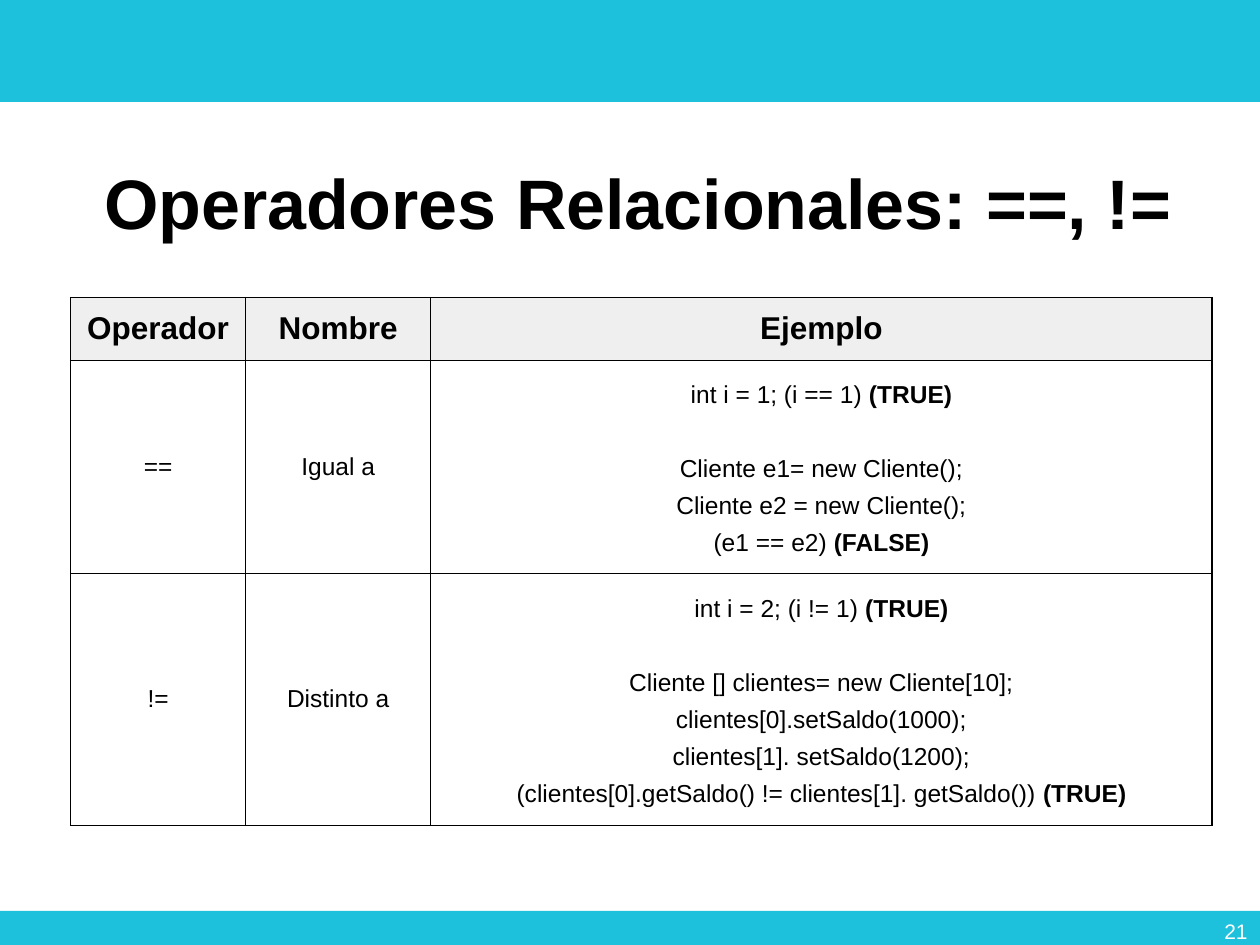
from lxml import etree
from pptx import Presentation
from pptx.dml.color import RGBColor
from pptx.enum import shapes, text
from pptx.oxml import ns
from pptx.util import Inches, Pt

FONT = "Arial"
BLACK, WHITE, CYAN, GRAY = "000000", "FFFFFF", "1DC1DC", "EFEFEF"
COLUMN_WIDTHS = [1.39, 1.47, 6.2]
ROW_HEIGHTS = [0.48, 1.62, 1.92]
HEADERS = ["Operador", "Nombre", "Ejemplo"]
OPERATORS = [
    ("==", "Igual a", [
        ("int i = 1; (i == 1) ", "(TRUE)"),
        ("Cliente e1= new Cliente();", ""),
        ("Cliente e2 = new Cliente();", ""),
        ("(e1 == e2) ", "(FALSE)"),
    ]),
    ("!=", "Distinto a", [
        ("int i = 2; (i != 1) ", "(TRUE)"),
        ("Cliente [] clientes= new Cliente[10];", ""),
        ("clientes[0].setSaldo(1000);", ""),
        ("clientes[1]. setSaldo(1200);", ""),
        ("(clientes[0].getSaldo() != clientes[1]. getSaldo()) ", "(TRUE)"),
    ]),
]


def color(value):
    return RGBColor.from_string(value)


def style_paragraph(paragraph, size, value=BLACK, bold=False, align=text.PP_ALIGN.CENTER):
    paragraph.alignment = align
    font = paragraph.font
    font.name, font.size, font.bold = FONT, Pt(size), bold
    font.color.rgb = color(value)


def add_band(slide, top, height):
    band = slide.shapes.add_shape(
        shapes.MSO_SHAPE.RECTANGLE, 0, Inches(top), Inches(10), Inches(height))
    band.shadow.inherit = False
    band.fill.solid()
    band.fill.fore_color.rgb = color(CYAN)
    band.line.fill.background()


def add_text(slide, left, top, width, height, content, size, **style):
    box = slide.shapes.add_textbox(Inches(left), Inches(top), Inches(width), Inches(height))
    frame = box.text_frame
    frame.word_wrap = True
    frame.vertical_anchor = text.MSO_ANCHOR.MIDDLE
    paragraph = frame.paragraphs[0]
    paragraph.text = content
    style_paragraph(paragraph, size, **style)
    return paragraph


def add_borders(cell):
    properties = cell._tc.get_or_add_tcPr()
    for side in ("a:lnL", "a:lnR", "a:lnT", "a:lnB"):
        line = etree.SubElement(properties, ns.qn(side), w=str(Pt(0.75)))
        fill = etree.SubElement(line, ns.qn("a:solidFill"))
        etree.SubElement(fill, ns.qn("a:srgbClr"), val=BLACK)


def format_cell(cell, fill=None):
    cell.margin_left = cell.margin_right = Inches(0.1)
    cell.margin_top = cell.margin_bottom = Inches(0.1)
    cell.vertical_anchor = text.MSO_ANCHOR.MIDDLE
    add_borders(cell)
    if fill:
        cell.fill.solid()
        cell.fill.fore_color.rgb = color(fill)
    else:
        cell.fill.background()


def write_cell(cell, content, size, bold=False, fill=None):
    format_cell(cell, fill)
    cell.text = content
    style_paragraph(cell.text_frame.paragraphs[0], size, bold=bold)


def write_example(cell, lines):
    format_cell(cell)
    frame = cell.text_frame
    for index, (code, result) in enumerate(lines):
        paragraph = frame.add_paragraph() if index else frame.paragraphs[0]
        style_paragraph(paragraph, 14)
        paragraph.line_spacing = 1.15
        if index:
            paragraph.space_before = Pt(24 if index == 1 else 3)
        parts = [(code, False), (result, True)] if result else [(code, False)]
        for content, bold in parts:
            run = paragraph.add_run()
            run.text = content
            run.font.name, run.font.size, run.font.bold = FONT, Pt(14), bold
            run.font.color.rgb = color(BLACK)


def add_operator_table(slide):
    table = slide.shapes.add_table(
        len(ROW_HEIGHTS), len(COLUMN_WIDTHS), Inches(0.56), Inches(2.36),
        Inches(sum(COLUMN_WIDTHS)), Inches(sum(ROW_HEIGHTS))).table
    table.horz_banding = False
    for column, width in zip(table.columns, COLUMN_WIDTHS):
        column.width = Inches(width)
    for row, height in zip(table.rows, ROW_HEIGHTS):
        row.height = Inches(height)
    for index, header in enumerate(HEADERS):
        write_cell(table.cell(0, index), header, 18, bold=True, fill=GRAY)
    for row, (operator, name, example) in enumerate(OPERATORS, 1):
        write_cell(table.cell(row, 0), operator, 14)
        write_cell(table.cell(row, 1), name, 14)
        write_example(table.cell(row, 2), example)


def main():
    presentation = Presentation()
    presentation.slide_width, presentation.slide_height = Inches(10), Inches(7.5)
    slide = presentation.slides.add_slide(presentation.slide_layouts[6])
    add_band(slide, 0, 0.81)
    add_band(slide, 7.23, 0.31)
    title = add_text(slide, 0.67, 0.98, 8.78, 1.33,
                     "Operadores Relacionales: ==, !=", 40, bold=True)
    title.line_spacing = 0.9
    add_text(slide, 7.75, 7.19, 2.25, 0.4, "21", 12,
             value=WHITE, align=text.PP_ALIGN.RIGHT)
    add_operator_table(slide)
    presentation.save("out.pptx")


if __name__ == "__main__":
    main()
